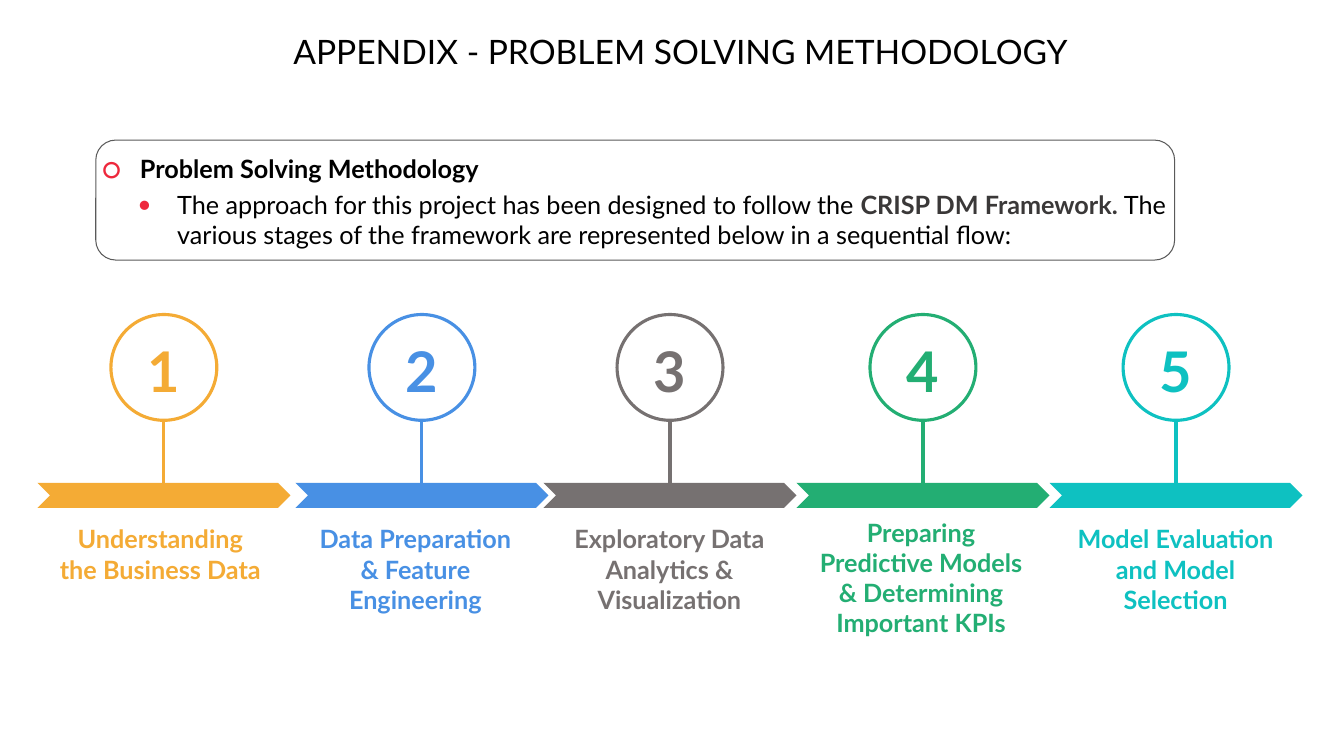
from lxml.etree import SubElement
from pptx import Presentation
from pptx.dml.color import RGBColor
from pptx.enum.shapes import MSO_CONNECTOR as Connector, MSO_SHAPE as Preset
from pptx.enum.text import MSO_ANCHOR as Anchor, PP_ALIGN as Align
from pptx.oxml.ns import qn
from pptx.util import Inches, Pt

COLOURS = {
    "black": "000000", "charcoal": "3A3838", "outline": "5A5A5A", "bullet": "EE283C",
    "amber": "F4AB35", "blue": "4890E4", "grey": "767171", "green": "23AE73", "teal": "0EC1C1",
}

presentation = Presentation()
presentation.slide_width, presentation.slide_height = Inches(13.33), Inches(7.5)
slide = presentation.slides.add_slide(presentation.slide_layouts[6])


def share(left, top, width, height):
    """Turn percentages of the slide's width and height into lengths."""
    across, down = presentation.slide_width / 100, presentation.slide_height / 100
    return round(left * across), round(top * down), round(width * across), round(height * down)


def add_run(paragraph, text, size, colour, bold=True):
    run = paragraph.add_run()
    run.text = text
    for name, value in {"name": "Lato", "size": Pt(size), "bold": bold}.items():
        setattr(run.font, name, value)
    run.font.color.rgb = RGBColor.from_string(COLOURS[colour])


# Title
title = slide.shapes.add_textbox(*share(7.13, 2.93, 87.02, 7.6)).text_frame
title.word_wrap = True
title.vertical_anchor = Anchor.MIDDLE
title.paragraphs[0].alignment = Align.CENTER
add_run(title.paragraphs[0], "APPENDIX - PROBLEM SOLVING METHODOLOGY", 24, "black", False)

# Introduction in a rounded frame
introduction = slide.shapes.add_shape(Preset.ROUNDED_RECTANGLE, *share(7.13, 18.53, 80.27, 15.87))
introduction.shadow.inherit = False
introduction.fill.background()
introduction.line.color.rgb = RGBColor.from_string(COLOURS["outline"])
introduction.line.width = Pt(0.75)
frame = introduction.text_frame
frame_format = {
    "word_wrap": True, "vertical_anchor": Anchor.MIDDLE, "margin_left": 0,
    "margin_top": Inches(0.03), "margin_right": 0, "margin_bottom": 0,
}
for name, value in frame_format.items():
    setattr(frame, name, value)

# Points: bullet, its size in percent, indent, space before and after, runs
points = [
    ("○", 120, 0.38, 2, 0, [("Problem Solving Methodology", "black", True)]),
    ("●", 75, 0.75, 4, 2, [
        ("The approach for this project has been designed to follow the ", "black", False),
        ("CRISP DM Framework. ", "charcoal", True),
        ("The various stages of the framework are represented below in a sequential flow:",
         "black", False),
    ]),
]
for index, (bullet, bullet_size, indent, before, after, runs) in enumerate(points):
    paragraph = frame.add_paragraph() if index else frame.paragraphs[0]
    paragraph.alignment = Align.LEFT
    paragraph.space_before, paragraph.space_after = Pt(before), Pt(after)
    properties = paragraph._p.get_or_add_pPr()
    properties.set("marL", str(Inches(indent)))
    properties.set("indent", str(-Inches(0.38)))
    bullet_colour = SubElement(properties, qn("a:buClr"))
    SubElement(bullet_colour, qn("a:srgbClr"), val=COLOURS["bullet"])
    SubElement(properties, qn("a:buSzPct"), val=str(bullet_size * 1000))
    SubElement(properties, qn("a:buFont"), typeface="Lato")
    SubElement(properties, qn("a:buChar"), char=bullet)
    for text, colour, bold in runs:
        add_run(paragraph, text, 18, colour, bold)

# Stages: colour, chevron left, label left, top and width, label lines, label
stages = [
    ("amber", 2.78, 3.45, 68.6, 16.95, 2, "Understanding the Business Data"),
    ("blue", 21.98, 22.43, 68.6, 16.95, 3, "Data Preparation & Feature Engineering"),
    ("grey", 40.44, 40.51, 68.6, 18.6, 3, "Exploratory Data Analytics & Visualization"),
    ("green", 59.26, 59.64, 67.73, 17.78, 4,
     "Preparing Predictive Models & Determining Important KPIs"),
    ("teal", 78.09, 78.99, 68.6, 16.95, 3, "Model Evaluation and Model Selection"),
]
CHEVRON_WIDTH, CHEVRON_TOP = 18.83, 63.87
CIRCLE_WIDTH, CIRCLE_TOP, CIRCLE_HEIGHT = 7.88, 41.6, 14
LINE_HEIGHT, LABEL_PADDING = 4, 1.33

for number, (colour, left, label_left, label_top, label_width, lines, label) in enumerate(stages, 1):
    rgb = RGBColor.from_string(COLOURS[colour])
    centre = left + CHEVRON_WIDTH / 2

    stem_x, stem_top, _, stem_height = share(
        centre, CIRCLE_TOP + CIRCLE_HEIGHT, 0, CHEVRON_TOP - CIRCLE_TOP - CIRCLE_HEIGHT)
    stem = slide.shapes.add_connector(
        Connector.STRAIGHT, stem_x, stem_top, stem_x, stem_top + stem_height)
    SubElement(stem._element.spPr, qn("a:effectLst"))

    chevron = slide.shapes.add_shape(Preset.CHEVRON, *share(left, CHEVRON_TOP, CHEVRON_WIDTH, 3.33))
    chevron.shadow.inherit = False
    chevron.fill.solid()
    chevron.fill.fore_color.rgb = rgb
    chevron.line.fill.background()

    circle = slide.shapes.add_shape(Preset.OVAL, *share(
        centre - CIRCLE_WIDTH / 2, CIRCLE_TOP, CIRCLE_WIDTH, CIRCLE_HEIGHT))
    circle.shadow.inherit = False
    circle.fill.background()
    for shape in (stem, circle):
        shape.line.color.rgb = rgb
        shape.line.width = Pt(2.25)
    for side in ("left", "top", "right", "bottom"):
        setattr(circle.text_frame, f"margin_{side}", 0)
    circle.text_frame.vertical_anchor = Anchor.MIDDLE
    digit = circle.text_frame.paragraphs[0]
    digit.line_spacing = 1.07
    add_run(digit, str(number), 40, colour)

    caption = slide.shapes.add_textbox(*share(
        label_left, label_top, label_width, lines * LINE_HEIGHT + LABEL_PADDING)).text_frame
    caption.word_wrap = True
    add_run(caption.paragraphs[0], label, 18, colour)
    for paragraph in (digit, caption.paragraphs[0]):
        paragraph.alignment = Align.CENTER

presentation.save("out.pptx")
